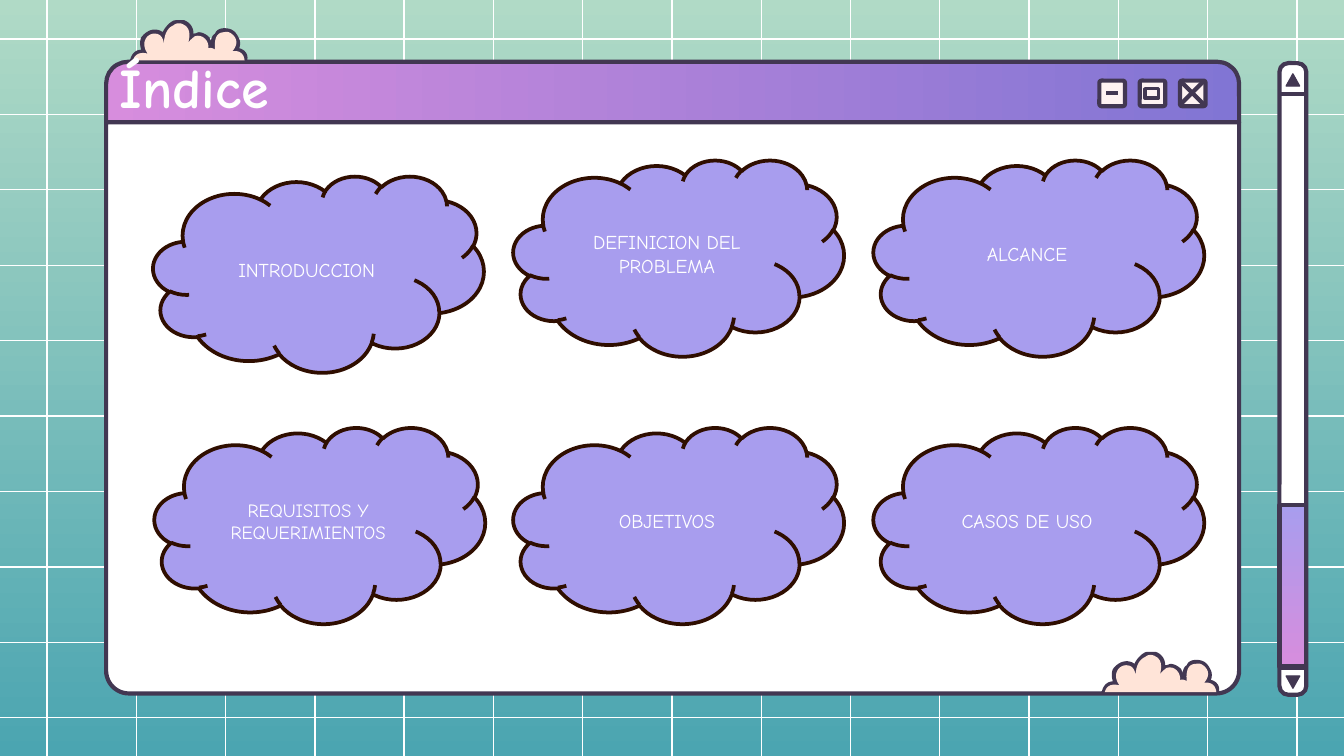
"""Build the index slide: a retro window with six topic clouds."""
from lxml import etree
from pptx import Presentation
from pptx.dml.color import RGBColor
from pptx.enum.shapes import MSO_CONNECTOR, MSO_SHAPE
from pptx.enum.text import MSO_ANCHOR, PP_ALIGN
from pptx.oxml.ns import qn
from pptx.util import Inches, Pt

STRAIGHT = MSO_CONNECTOR.STRAIGHT
RECT = MSO_SHAPE.RECTANGLE
ROUND = MSO_SHAPE.ROUNDED_RECTANGLE
TAB = MSO_SHAPE.ROUND_2_SAME_RECTANGLE
ARROW = MSO_SHAPE.ISOSCELES_TRIANGLE
CLOUD = MSO_SHAPE.CLOUD
MIDDLE = MSO_ANCHOR.MIDDLE
LEFT, CENTER = PP_ALIGN.LEFT, PP_ALIGN.CENTER

FONT = "Comic Neue"
COLORS = {
    "white": "FFFFFF", "ink": "423752", "mint": "B0DAC6", "teal": "4BA5B1",
    "blue": "8175D4", "pink": "D78DDD", "lilac": "A89DEE", "brown": "2F0E00",
    "blush": "FEF2F2", "peach": "FFE4D8",
}
TOPICS = [
    ("INTRODUCCION", 1.14, 1.31, 10.5),
    ("OBJETIVOS", 3.82, 3.18, 10.5),
    ("REQUISITOS Y REQUERIMIENTOS", 1.15, 3.18, 10),
    ("DEFINICION DEL PROBLEMA", 3.82, 1.19, 10.5),
    ("CASOS DE USO", 6.5, 3.18, 10.5),
    ("ALCANCE", 6.5, 1.19, 10.5),
]
RIM = [
    (1.33, 0.15), (1.31, 0.15, 1.29, 0.15, 1.28, 0.16),
    (1.26, 0.17, 1.23, 0.2, 1.21, 0.24), (1.2, 0.23, 1.18, 0.22, 1.15, 0.22),
    (1.11, 0.22, 1.07, 0.25, 1.05, 0.28), (1.04, 0.31, 1.04, 0.33, 1.05, 0.37),
    (1.01, 0.37, 0.98, 0.4, 0.97, 0.44), (0.95, 0.47), (1.84, 0.47),
    (1.84, 0.45), (1.84, 0.44, 1.85, 0.41, 1.82, 0.38),
    (1.81, 0.37, 1.79, 0.36, 1.78, 0.36), (1.79, 0.33, 1.79, 0.3, 1.77, 0.27),
    (1.75, 0.23, 1.72, 0.21, 1.67, 0.21), (1.64, 0.21, 1.61, 0.22, 1.6, 0.25),
    (1.58, 0.26, 1.57, 0.29, 1.57, 0.31), (1.57, 0.3, 1.56, 0.29, 1.56, 0.28),
    (1.54, 0.26, 1.51, 0.24, 1.48, 0.24), (1.47, 0.24, 1.46, 0.25, 1.44, 0.25),
    (1.44, 0.21, 1.42, 0.17, 1.37, 0.15), (1.36, 0.15, 1.35, 0.15, 1.33, 0.15),
]
CORE = [
    (0.99, 0.45), (1.82, 0.45), (1.82, 0.45, 1.82, 0.37, 1.73, 0.38),
    (1.73, 0.38, 1.78, 0.33, 1.75, 0.28), (1.73, 0.25, 1.7, 0.23, 1.67, 0.24),
    (1.63, 0.24, 1.59, 0.26, 1.6, 0.37), (1.6, 0.37, 1.58, 0.35, 1.55, 0.36),
    (1.56, 0.31, 1.51, 0.25, 1.45, 0.27), (1.44, 0.28, 1.42, 0.29, 1.4, 0.32),
    (1.4, 0.32, 1.44, 0.21, 1.36, 0.18), (1.34, 0.17, 1.31, 0.17, 1.29, 0.19),
    (1.26, 0.2, 1.22, 0.24, 1.22, 0.33), (1.22, 0.33, 1.22, 0.25, 1.15, 0.25),
    (1.12, 0.25, 1.09, 0.27, 1.08, 0.3), (1.07, 0.32, 1.07, 0.36, 1.1, 0.4),
    (1.1, 0.4, 1.01, 0.37, 0.99, 0.45),
]


def tint(name):
    """Return the named colour."""
    return RGBColor.from_string(COLORS[name])


def blend(fill, first, last, angle):
    """Set a two-stop gradient."""
    fill.gradient()
    fill.gradient_angle = angle
    for stop, name in zip(fill.gradient_stops, (first, last)):
        stop.color.rgb = tint(name)


def paint(shape, fill, line=None, width=2.25):
    """Set a solid fill and an optional outline, with no shadow."""
    shape.shadow.inherit = False
    shape.fill.solid()
    shape.fill.fore_color.rgb = tint(fill)
    if line:
        shape.line.color.rgb = tint(line)
        shape.line.width = Pt(width)
    else:
        shape.line.fill.background()


def add_box(slide, kind, box, fill, line="ink", width=2.25, bends=()):
    """Add a preset shape and return it."""
    shape = slide.shapes.add_shape(kind, *map(Inches, box))
    for index, bend in enumerate(bends):
        shape.adjustments[index] = bend
    paint(shape, fill, line, width)
    return shape


def add_line(slide, ends, color="ink", width=2.25):
    """Add a straight line."""
    line = slide.shapes.add_connector(STRAIGHT, *map(Inches, ends))
    line.line.color.rgb = tint(color)
    line.line.width = Pt(width)
    etree.SubElement(line._element.spPr, qn("a:effectLst"))


def add_text(shape, text, size, align=CENTER, bold=False):
    """Put white text in a shape."""
    frame = shape.text_frame
    frame.word_wrap = True
    frame.vertical_anchor = MIDDLE
    frame.text = text
    para = frame.paragraphs[0]
    para.alignment = align
    font = para.runs[0].font
    font.name, font.size, font.bold = FONT, Pt(size), bold
    font.color.rgb = tint("white")


def trace(path, steps=8):
    """Turn points and cubic curves into a list of points."""
    dots = [path[0]]
    for part in path[1:]:
        if len(part) == 2:
            dots.append(part)
            continue
        nodes = [dots[-1], part[:2], part[2:4], part[4:]]
        for step in range(1, steps + 1):
            t = step / steps
            u = 1 - t
            rates = (u ** 3, 3 * u * u * t, 3 * u * t * t, t ** 3)
            dots.append(tuple(sum(r * n[axis] for r, n in zip(rates, nodes))
                              for axis in (0, 1)))
    return dots


def add_puff(slide, dx, dy):
    """Add a small peach cloud with a dark rim."""
    for path, color in ((RIM, "ink"), (CORE, "peach")):
        dots = [(Inches(x + dx), Inches(y + dy)) for x, y in trace(path)]
        pen = slide.shapes.build_freeform(*dots[0])
        pen.add_line_segments(dots[1:], close=True)
        paint(pen.convert_to_shape(), color)


def add_grid(slide):
    """Add the white background grid."""
    for col in range(15):
        x = 0.35 + col * 9.3 / 14
        add_line(slide, (x, -0.07, x, 5.7), "white", 0.75)
    for row in range(10):
        y = 0.29 + row * 5.05 / 9
        add_line(slide, (-0.06, y, 10.06, y), "white", 0.75)


def add_bar(slide):
    """Add the title bar with its buttons."""
    bar = add_box(slide, TAB, (0.79, 0.46, 8.43, 0.45), "blue", bends=(0.36, 0))
    blend(bar.fill, "blue", "pink", 180)
    for x in (8.18, 8.48, 8.78):
        add_box(slide, ROUND, (x, 0.6, 0.19, 0.19), "blush", bends=(0.08,))
    add_line(slide, (8.23, 0.69, 8.32, 0.69))
    add_box(slide, RECT, (8.52, 0.66, 0.1, 0.07), "blush", width=1.85)
    add_line(slide, (8.78, 0.6, 8.96, 0.78))
    add_line(slide, (8.96, 0.6, 8.78, 0.78))


def add_scroll(slide):
    """Add the scroll bar."""
    add_box(slide, ROUND, (9.52, 0.47, 0.2, 4.7), "white", bends=(0.33,))
    for y, turn, edge in ((0.55, 0, 0.7), (5.03, 180, 4.97)):
        arrow = add_box(slide, ARROW, (9.57, y, 0.1, 0.09), "ink", width=0.75)
        arrow.rotation = turn
        add_line(slide, (9.51, edge, 9.73, edge))
    thumb = add_box(slide, RECT, (9.52, 3.76, 0.2, 1.2), "lilac")
    blend(thumb.fill, "lilac", "pink", 270)


def add_title(slide):
    """Add the slide title."""
    box = slide.shapes.add_textbox(*map(Inches, (0.79, 0.49, 6.58, 0.4)))
    add_text(box, "Índice", 30, LEFT, True)
    box.text_frame.margin_top = 0
    box.text_frame.margin_bottom = Inches(0.1)


def main():
    """Build and save the slide."""
    deck = Presentation()
    deck.slide_width = Inches(10)
    deck.slide_height = deck.slide_width * 9 // 16
    slide = deck.slides.add_slide(deck.slide_layouts[6])
    blend(slide.background.fill, "mint", "teal", 270)
    add_grid(slide)
    add_bar(slide)
    add_scroll(slide)
    add_box(slide, TAB, (0.79, 0.91, 8.43, 4.25), "white", bends=(0, 0.04))
    add_puff(slide, 7.23, 4.7)
    add_puff(slide, 0, 0)
    add_title(slide)
    for text, x, y, size in TOPICS:
        cloud = add_box(slide, CLOUD, (x, y, 2.46, 1.46), "lilac", "brown", 2)
        add_text(cloud, text, size)
    deck.save("out.pptx")


if __name__ == "__main__":
    main()
